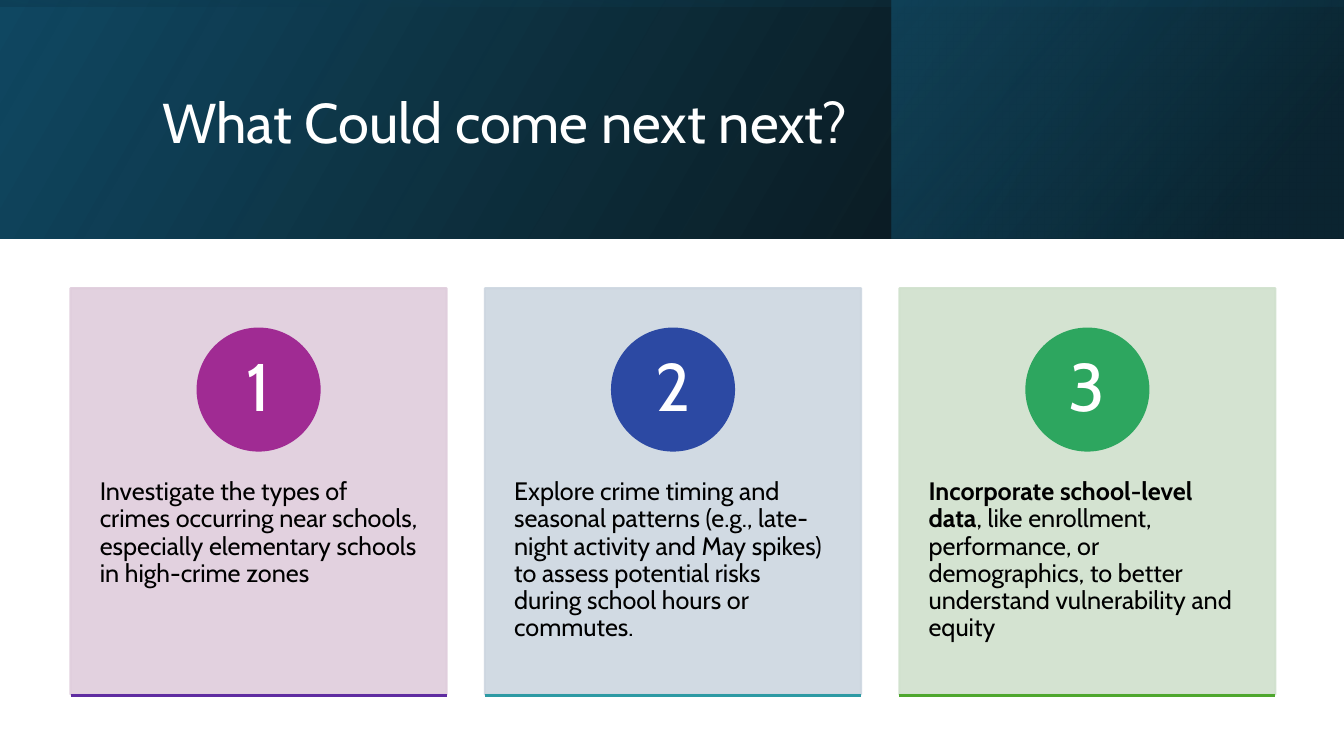
from dataclasses import dataclass

from lxml import etree
from pptx import Presentation
from pptx.dml.color import RGBColor
from pptx.enum.shapes import MSO_CONNECTOR, MSO_SHAPE
from pptx.enum.text import MSO_ANCHOR, PP_ALIGN
from pptx.oxml import parse_xml
from pptx.oxml.ns import nsdecls, qn
from pptx.util import Pt

RECTANGLE, OVAL = MSO_SHAPE.RECTANGLE, MSO_SHAPE.OVAL
STRAIGHT = MSO_CONNECTOR.STRAIGHT
TOP, MIDDLE = MSO_ANCHOR.TOP, MSO_ANCHOR.MIDDLE
LEFT, CENTER = PP_ALIGN.LEFT, PP_ALIGN.CENTER
TITLE_ONLY = 5
EMU_PER_PX = 9144  # 100 px to the inch


@dataclass(frozen=True)
class Theme:
    font: str = "Cabin"
    title_size: int = 40
    number_size: int = 48
    body_size: int = 18
    line_width: float = 1.5
    line_spacing: float = 0.9
    card_opacity: int = 90
    light: str = "FFFFFF"
    dark: str = "000000"
    navy: str = "104862"
    deep: str = "0B3041"
    teal: str = "156082"


@dataclass(frozen=True)
class Card:
    tint: str
    accent: str
    rule: str
    spans: tuple  # (wording, bold) pairs


THEME = Theme()
PAGE_WIDTH, PAGE_HEIGHT = 1333, 750
BANNER_HEIGHT = 237
CARDS = (
    Card("DFCDDC", "A02B93", "5F2CA1", (
        ("Investigate the types of crimes\u00a0occurring near schools, especially "
         "elementary schools in high-crime zones", False),)),
    Card("CDD6E0", "2C49A3", "2D9AA4", (
        ("Explore crime timing and seasonal patterns (e.g., late-night activity and "
         "May spikes) to assess potential risks during school hours or commutes.", False),)),
    Card("D0E1CD", "2DA65F", "4EA72E", (
        ("Incorporate school-level data", True),
        (", like enrollment, performance, or demographics, to better understand "
         "vulnerability and equity", False))),
)


def px(*lengths):
    return [round(length * EMU_PER_PX) for length in lengths]


def color(value):
    return RGBColor.from_string(value)


def add_shape(page, kind, box, fill):
    shape = page.shapes.add_shape(kind, *px(*box))
    shape.shadow.inherit = False
    shape.fill.solid()
    shape.fill.fore_color.rgb = color(fill)
    shape.line.color.rgb = color(fill)
    shape.line.width = Pt(THEME.line_width)
    return shape


def set_opacity(shape, percent):
    for tint in shape._element.spPr.iter(qn("a:srgbClr")):
        etree.SubElement(tint, qn("a:alpha"), val=str(percent * 1000))


def write(frame, spans, size, tint, align=LEFT, anchor=TOP, insets=(10, 5)):
    frame.word_wrap = True
    frame.vertical_anchor = anchor
    frame.margin_left = frame.margin_right = px(insets[0])[0]
    frame.margin_top = frame.margin_bottom = px(insets[1])[0]
    para = frame.paragraphs[0]
    para.alignment = align
    para.line_spacing = THEME.line_spacing
    for wording, bold in spans:
        span = para.add_run()
        span.text = wording
        span.font.name = THEME.font
        span.font.size = Pt(size)
        span.font.bold = bold
        span.font.color.rgb = color(tint)


def add_gradient(page, box, angle, stops, rotation=0):
    """Mirrored rectangle; stops are (position, colour, opacity)."""
    shape = add_shape(page, RECTANGLE, box, THEME.dark)
    shape.line.fill.background()
    shape.rotation = rotation
    properties = shape._element.spPr
    properties.find(qn("a:xfrm")).set("flipH", "1")
    stop_xml = "".join(
        f'<a:gs pos="{position * 1000}"><a:srgbClr val="{tint}">'
        f'<a:alpha val="{opacity * 1000}"/></a:srgbClr></a:gs>'
        for position, tint, opacity in stops)
    gradient = parse_xml(
        f'<a:gradFill {nsdecls("a")} rotWithShape="1"><a:gsLst>{stop_xml}</a:gsLst>'
        f'<a:lin ang="{angle * 60000}" scaled="0"/></a:gradFill>')
    properties.replace(properties.find(qn("a:solidFill")), gradient)


def add_banner(page, left, top, width, height):
    # Layered gradients
    add_gradient(page, (left, top, width, height), 330,
                 [(0, THEME.dark, 96), (100, THEME.navy, 100)])
    panel = 449
    add_gradient(page, (left + width - panel, top, panel, height), 320,
                 [(19, THEME.deep, 68), (100, THEME.teal, 48)])
    # Quarter-turned overlay: its sides are swapped about the banner's centre
    shift = (width - height) / 2
    add_gradient(page, (left + shift, top - shift, height, width), 350,
                 [(23, THEME.navy, 16), (99, THEME.dark, 45)], rotation=270)
    # Title, brought in front of the gradients
    title = page.shapes.title
    title.left, title.top, title.width, title.height = px(left + 151, top + 38, 1063, 172)
    write(title.text_frame, [("What Could come next next?", False)],
          THEME.title_size, THEME.light, anchor=MIDDLE)
    page.shapes._spTree.append(title._element)


def add_card(page, card, number, left, top, width, height):
    # Tinted panel
    panel = add_shape(page, RECTANGLE, (left, top, width, height), card.tint)
    set_opacity(panel, THEME.card_opacity)
    # Body text
    body = page.shapes.add_textbox(*px(left, top + 153, width, 242))
    write(body.text_frame, card.spans, THEME.body_size, THEME.dark, insets=(29, 36))
    # Numbered disc
    size = 121
    disc = add_shape(page, OVAL, (left + (width - size) / 2, top + 40, size, size), card.accent)
    write(disc.text_frame, [(str(number), False)], THEME.number_size, THEME.light,
          CENTER, MIDDLE, insets=(9, 1))
    # Bottom rule
    bottom = top + height + 1
    rule = page.shapes.add_connector(STRAIGHT, *px(left, bottom, left + width, bottom))
    rule.line.color.rgb = color(card.rule)
    rule.line.width = Pt(THEME.line_width)
    etree.SubElement(rule._element.spPr, qn("a:effectLst"))


def add_cards(page, left, top, width, height):
    gap = 38
    card_width = (width - gap * (len(CARDS) - 1)) / len(CARDS)
    for index, card in enumerate(CARDS):
        add_card(page, card, index + 1, left + index * (card_width + gap), top,
                 card_width, height)


def main():
    deck = Presentation()
    deck.slide_width, deck.slide_height = px(PAGE_WIDTH, PAGE_HEIGHT)
    page = deck.slides.add_slide(deck.slide_layouts[TITLE_ONLY])
    add_banner(page, 0, 0, PAGE_WIDTH, BANNER_HEIGHT)
    add_cards(page, 70, 286, 1195, 403)
    deck.save("out.pptx")


if __name__ == "__main__":
    main()
